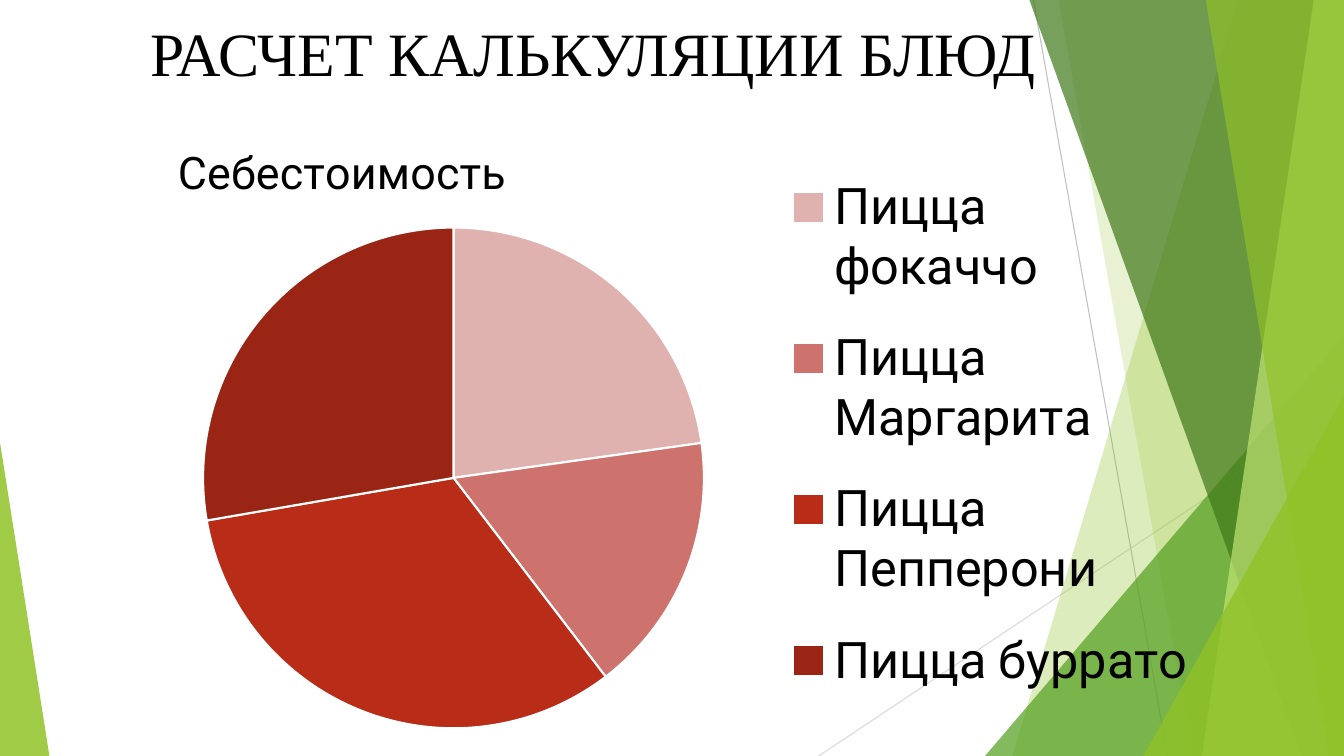
"""Builds the dish costing slide with a pie chart of cost shares."""
from dataclasses import dataclass

from lxml import etree
from pptx import Presentation
from pptx import util as u
from pptx.chart.data import CategoryChartData
from pptx.dml.color import RGBColor
from pptx.enum import chart as ch, shapes, text
from pptx.oxml import ns


@dataclass(frozen=True)
class Theme:
    """Colours, fonts and sizes of the slide."""
    ink: str = "000000"
    paper: str = "FFFFFF"
    lime: str = "90C226"
    pale_lime: str = "C0E474"
    green: str = "54A021"
    forest: str = "3F7819"
    rule: str = "BFBFBF"
    pale_rule: str = "D9D9D9"
    slices: tuple = ("DFB1AF", "CE726E", "B82C18", "9B2515")
    title_font: str = "Times New Roman"
    chart_font: str = "Roboto"
    title_size: int = 44
    chart_title_size: int = 32
    legend_size: int = 36
    base_size: int = 10


class CostingSlide:
    """Holds the theme and the current slide."""

    def __init__(self, deck, theme):
        """Add a title-only slide to the deck."""
        self.theme = theme
        self.width, self.height = deck.slide_width, deck.slide_height
        self.slide = deck.slides.add_slide(deck.slide_layouts[5])
        self.shapes = self.slide.shapes

    def style(self, font, name, size):
        """Give a font its face, size and ink colour."""
        font.name, font.size, font.bold = name, u.Pt(size), False
        font.color.rgb = RGBColor.from_string(self.theme.ink)

    def tint(self, facet, colour, opacity):
        """Fill a facet with a translucent colour and no outline."""
        facet.shadow.inherit = False
        facet.fill.solid()
        facet.fill.fore_color.rgb = RGBColor.from_string(colour)
        facet.line.fill.background()
        srgb = facet.fill._xPr.find(".//" + ns.qn("a:srgbClr"))
        etree.SubElement(srgb, ns.qn("a:alpha"), val=str(opacity * 1000))

    def hairline(self, start, end, colour):
        """Draw a thin straight line."""
        ends = [u.Inches(n) for n in (*start, *end)]
        rule = self.shapes.add_connector(shapes.MSO_CONNECTOR.STRAIGHT, *ends)
        rule.line.color.rgb = RGBColor.from_string(colour)
        rule.line.width = u.Pt(0.75)
        etree.SubElement(rule._element.spPr, ns.qn("a:effectLst"))

    def ribbon(self, top_x, bottom_x, colour, opacity):
        """Draw a full-height facet that reaches the right edge."""
        builder = self.shapes.build_freeform(u.Inches(top_x), 0)
        builder.add_line_segments([(self.width, 0), (self.width, self.height),
                                   (u.Inches(bottom_x), self.height)])
        self.tint(builder.convert_to_shape(), colour, opacity)

    def corner(self, left, top, width, peak, colour, opacity):
        """Draw a triangle standing on the bottom edge."""
        x, y, w = (u.Inches(n) for n in (left, top, width))
        facet = self.shapes.add_shape(
            shapes.MSO_SHAPE.ISOSCELES_TRIANGLE, x, y, w, self.height - y)
        facet.adjustments[0] = peak
        self.tint(facet, colour, opacity)

    def title(self, wording, box):
        """Place the title in front of the facets."""
        heading = self.shapes.title
        heading.left, heading.top, heading.width, heading.height = map(u.Inches, box)
        frame = heading.text_frame
        frame.text = wording
        frame.word_wrap = True
        frame.auto_size = text.MSO_AUTO_SIZE.NONE
        frame.vertical_anchor = text.MSO_ANCHOR.TOP
        frame.paragraphs[0].alignment = text.PP_ALIGN.LEFT
        self.style(frame.paragraphs[0].runs[0].font,
                   self.theme.title_font, self.theme.title_size)
        self.shapes._spTree.append(heading._element)

    def arrange(self, part, index, inner=False, **fractions):
        """Set the manual layout of a chart part."""
        for previous in part.findall(ns.qn("c:layout")):
            part.remove(previous)
        layout = etree.Element(ns.qn("c:layout"))
        manual = etree.SubElement(layout, ns.qn("c:manualLayout"))
        settings = {"layoutTarget": "inner"} if inner else {}
        settings.update(xMode="edge", yMode="edge", **fractions)
        for name, value in settings.items():
            etree.SubElement(manual, ns.qn("c:" + name), val=str(value))
        part.insert(index, layout)

    def pie(self, name, costs, box):
        """Add the cost pie with its title and legend."""
        theme = self.theme
        shares = CategoryChartData()
        shares.categories = list(costs)
        shares.add_series(name, list(costs.values()))
        chart = self.shapes.add_chart(
            ch.XL_CHART_TYPE.PIE, *map(u.Inches, box), shares).chart
        self.style(chart.font, theme.chart_font, theme.base_size)

        chart.has_title = True
        caption = chart.chart_title.text_frame
        caption.text = name
        self.style(caption.paragraphs[0].runs[0].font,
                   theme.chart_font, theme.chart_title_size)
        self.arrange(chart.chart_title._element, 1, x=0.04, y=0.03)

        chart.has_legend = True
        chart.legend.position = ch.XL_LEGEND_POSITION.RIGHT
        chart.legend.include_in_layout = False
        self.style(chart.legend.font, theme.chart_font, theme.legend_size)
        self.arrange(chart.legend._element, 1, x=0.61, y=0.05, w=0.37, h=0.92)

        plot = chart.plots[0]
        plot.vary_by_categories = True
        for index, colour in enumerate(theme.slices):
            portion = plot.series[0].points[index].format
            portion.fill.solid()
            portion.fill.fore_color.rgb = RGBColor.from_string(colour)
            portion.line.color.rgb = RGBColor.from_string(theme.paper)
            portion.line.width = u.Pt(1.5)
        self.arrange(plot._element.getparent(), 0, inner=True,
                     x=0.07, y=0.18, w=0.46, h=0.8)


def main():
    """Build and save the deck."""
    theme = Theme()
    deck = Presentation()
    deck.slide_width, deck.slide_height = u.Inches(13.33), u.Inches(7.5)
    page = CostingSlide(deck, theme)

    page.hairline((10.25, 0), (11.58, 7.5), theme.rule)
    page.hairline((13.33, 4.03), (8.12, 7.5), theme.pale_rule)
    page.ribbon(12.28, 10.04, theme.lime, 30)
    page.ribbon(10.5, 11.83, theme.lime, 20)
    page.corner(9.77, 3.33, 3.56, 1, theme.green, 72)
    page.ribbon(10.21, 12.91, theme.forest, 70)
    page.ribbon(13.03, 11.92, theme.pale_lime, 70)
    page.ribbon(11.96, 13.18, theme.lime, 65)
    page.corner(11.34, 3.93, 1.99, 1, theme.lime, 80)
    page.corner(0, 4.39, 0.49, 0, theme.lime, 85)

    page.title("РАСЧЕТ КАЛЬКУЛЯЦИИ БЛЮД", (1.39, 0.1, 10.83, 1.36))
    costs = {"Пицца фокаччо": 23, "Пицца Маргарита": 17,
             "Пицца Пепперони": 33, "Пицца буррато": 28}
    page.pie("Себестоимость", costs, (1.25, 1.14, 10.83, 6.21))
    deck.save("out.pptx")


if __name__ == "__main__":
    main()
